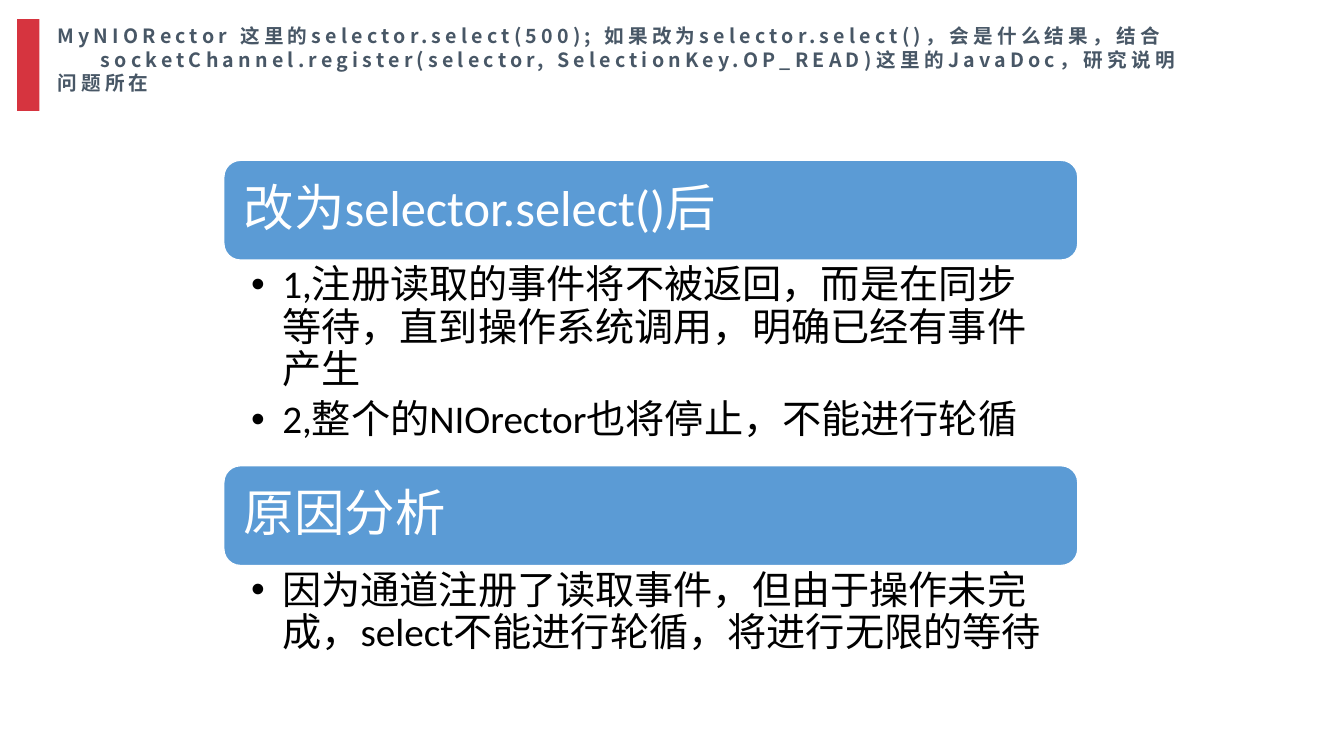
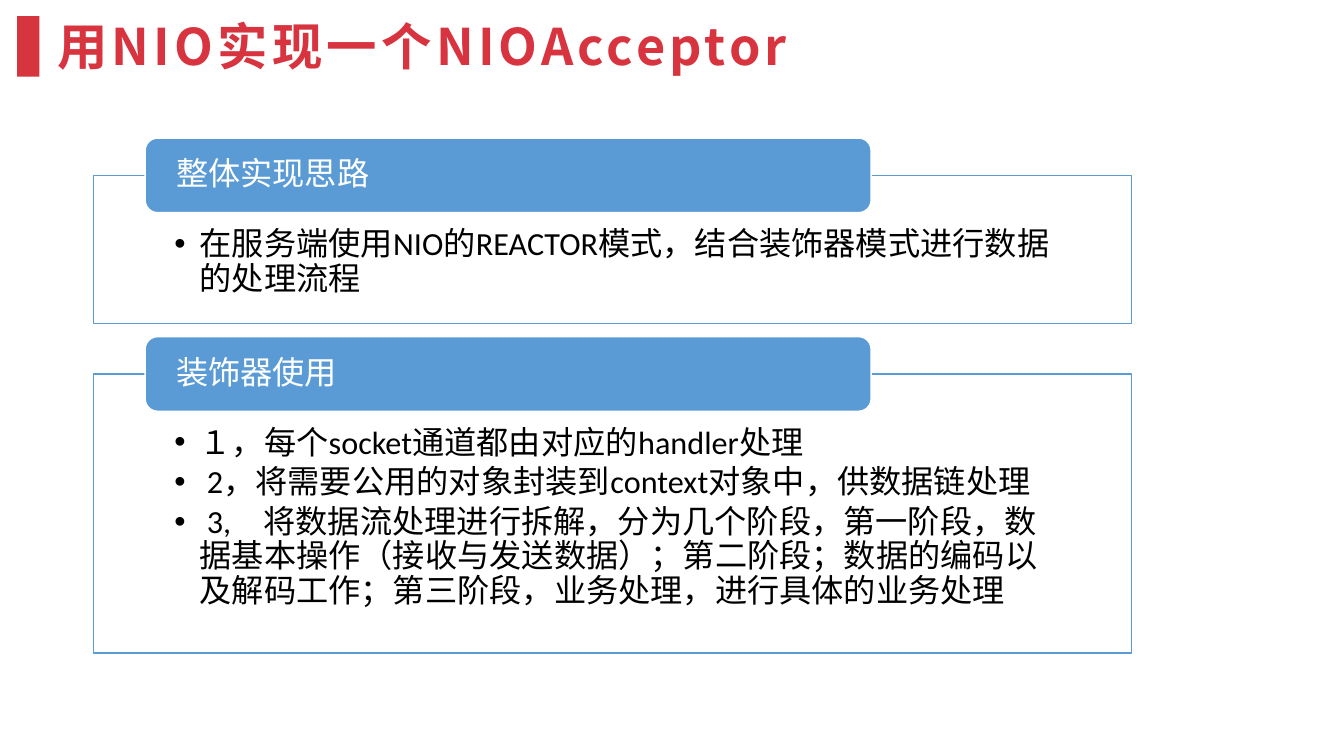
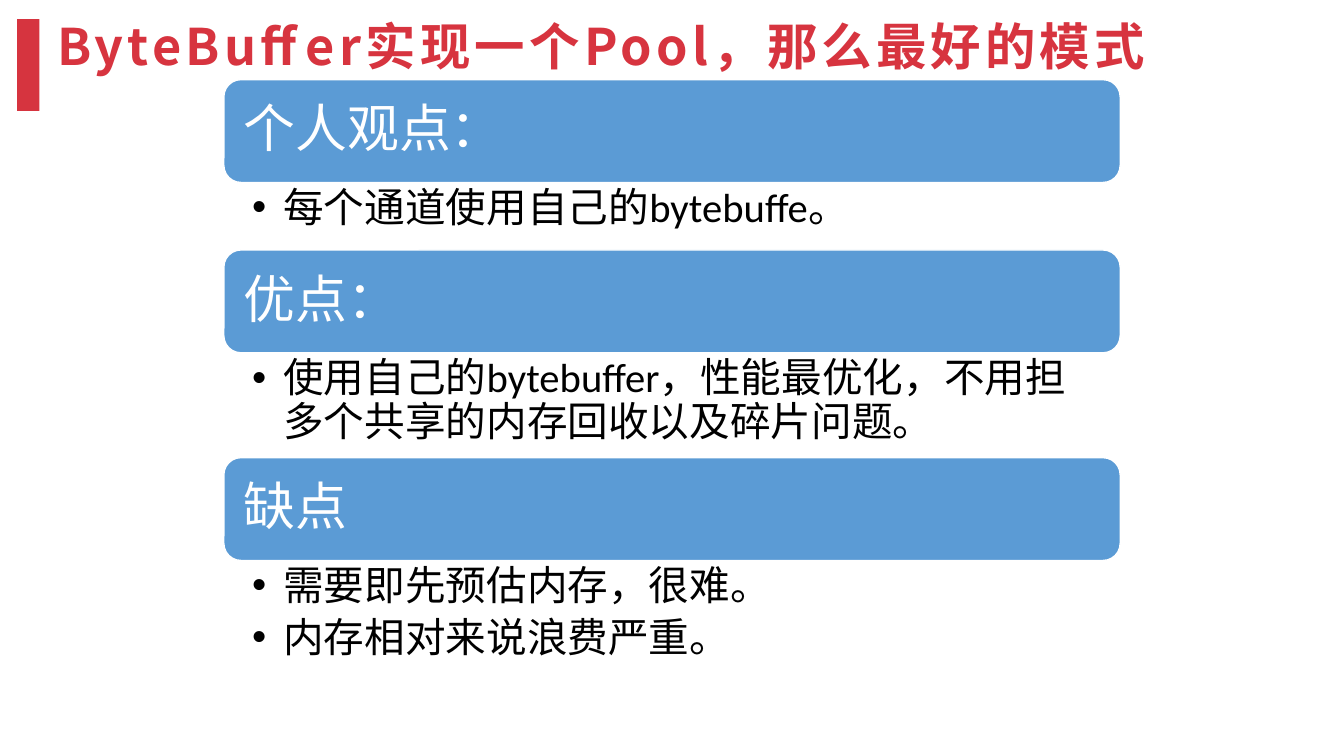
"""Builds three slides on NIO reactors, acceptors and buffer pools."""
from lxml import etree
from pptx import Presentation
from pptx import util as u
from pptx.dml.color import RGBColor
from pptx.enum import shapes, text
from pptx.oxml.ns import qn

PX = 9144
RED = RGBColor(0xD6, 0x34, 0x3F)
TITLE_RED = RGBColor(0xD7, 0x34, 0x3F)
SLATE = RGBColor(0x48, 0x57, 0x66)
BLUE = RGBColor(0x5B, 0x9B, 0xD5)
WHITE = RGBColor(0xFF, 0xFF, 0xFF)
BLACK = RGBColor(0x00, 0x00, 0x00)
CJK = "Noto Sans CJK SC"
RECT = shapes.MSO_SHAPE.RECTANGLE
ROUNDED = shapes.MSO_SHAPE.ROUNDED_RECTANGLE
TOP, MIDDLE = text.MSO_ANCHOR.TOP, text.MSO_ANCHOR.MIDDLE


def add_box(slide, kind, place, fill, line=None):
    """Adds a filled shape without shadow at a place given in px."""
    box = slide.shapes.add_shape(kind, *(v * PX for v in place))
    box.shadow.inherit = False
    box.fill.solid()
    box.fill.fore_color.rgb = fill
    if line is None:
        box.line.fill.background()
    else:
        box.line.color.rgb = line
        box.line.width = u.Pt(1)
    return box


def write(holder, lines, size, color, insets, anchor, after=0, hang=0, title=False):
    """Writes one paragraph per line, bulleted when a hanging indent is given."""
    frame = holder.text_frame
    frame.word_wrap = True
    frame.vertical_anchor = anchor
    frame.margin_left, frame.margin_top, frame.margin_right, frame.margin_bottom = (
        v * PX for v in insets)
    for number, line in enumerate(lines):
        paragraph = frame.paragraphs[0] if number == 0 else frame.add_paragraph()
        paragraph.alignment = text.PP_ALIGN.LEFT
        properties = paragraph._p.get_or_add_pPr()
        if title:
            properties.set("indent", str(number * 43 * PX))
        else:
            paragraph.line_spacing = 0.9
            paragraph.space_after = u.Pt(round(size * after, 1))
        if hang:
            paragraph.level = 1
            properties.set("marL", str(hang * PX))
            properties.set("indent", str(-hang * PX))
            etree.SubElement(properties, qn("a:buFont")).set("typeface", "Arial")
            etree.SubElement(properties, qn("a:buChar")).set("char", "•")
        run = paragraph.add_run()
        run.text = line
        run.font.size = u.Pt(size)
        run.font.color.rgb = color
        run.font.name = CJK if title else "Calibri"
        run_properties = run._r.get_or_add_rPr()
        if title:
            run.font.bold = True
            run_properties.set("spc", "300")
        etree.SubElement(run_properties, qn("a:ea")).set("typeface", CJK)


deck = Presentation()
deck.slide_width, deck.slide_height = 1333 * PX, 750 * PX

headers = [
    (["MyNIORector 这里的selector.select(500); 如果改为selector.select()，会是什么结果，结合",
      "socketChannel.register(selector, SelectionKey.OP_READ)这里的JavaDoc，研究说明问题所在"],
     14, SLATE, (47, 19, 1141, 81), (17, 19, 22, 91)),
    (["用NIO实现一个NIOAcceptor"],
     36, TITLE_RED, (47, 10, 792, 71), (17, 16, 22, 60)),
    (["ByteBuffer实现一个Pool，那么最好的模式"],
     36, TITLE_RED, (47, 10, 1211, 71), (17, 19, 22, 91)),
]
slides = []
for lines, size, color, title_place, marker_place in headers:
    slide = deck.slides.add_slide(deck.slide_layouts[6])
    title = slide.shapes.add_textbox(*(v * PX for v in title_place))
    write(title, lines, size, color, (10, 5, 10, 5), TOP, title=True)
    title.text_frame.auto_size = text.MSO_AUTO_SIZE.SHAPE_TO_FIT_TEXT
    add_box(slide, RECT, marker_place, RED)
    slides.append(slide)
select_slide, acceptor_slide, pool_slide = slides

stacks = [
    (select_slide, 159, 847, 99, 36, 28, (27, 5, 28, 5), [
        ("改为selector.select()后", 204,
         ["1,注册读取的事件将不被返回，而是在同步等待，直到操作系统调用，明确已经有事件产生",
          "2,整个的NIOrector也将停止，不能进行轮循"]),
        ("原因分析", 102,
         ["因为通道注册了读取事件，但由于操作未完成，select不能进行轮循，将进行无限的等待"]),
    ]),
    (pool_slide, 79, 889, 102, 37, 29, (28, 5, 29, 5), [
        ("个人观点：", 67, ["每个通道使用自己的bytebuffe。"]),
        ("优点：", 104,
         ["使用自己的bytebuffer，性能最优化，不用担多个共享的内存回收以及碎片问题。"]),
        ("缺点", 115, ["需要即先预估内存，很难。", "内存相对来说浪费严重。"]),
    ]),
]
for slide, top, width, bar_height, heading_size, point_size, insets, sections in stacks:
    for heading, points_height, points in sections:
        bar = add_box(slide, ROUNDED, (222, top, width, bar_height), BLUE, WHITE)
        write(bar, [heading], heading_size, WHITE, (15, 15, 15, 15), MIDDLE, after=0.35)
        top += bar_height
        body = slide.shapes.add_textbox(222 * PX, top * PX, width * PX, points_height * PX)
        write(body, points, point_size, BLACK, insets, TOP, after=0.2, hang=31)
        top += points_height

panels = [
    ("整体实现思路", 147,
     ["在服务端使用NIO的REACTOR模式，结合装饰器模式进行数据的处理流程"]),
    ("装饰器使用", 277,
     ["１，每个socket通道都由对应的handler处理",
      " 2，将需要公用的对象封装到context对象中，供数据链处理",
      " 3,　将数据流处理进行拆解，分为几个阶段，第一阶段，数据基本操作（接收与发送数据）；"
      "第二阶段；数据的编码以及解码工作；第三阶段，业务处理，进行具体的业务处理"]),
]
top = 174
for heading, height, points in panels:
    panel = add_box(acceptor_slide, RECT, (93, top, 1029, height), WHITE, BLUE)
    write(panel, points, 23, BLACK, (80, 52, 80, 18), TOP, after=0.15, hang=25)
    tab = add_box(acceptor_slide, ROUNDED, (144, top - 37, 720, 74), BLUE, WHITE)
    write(tab, [heading], 23, WHITE, (27, 0, 27, 0), MIDDLE, after=0.35)
    top += height + 50

deck.save("out.pptx")
